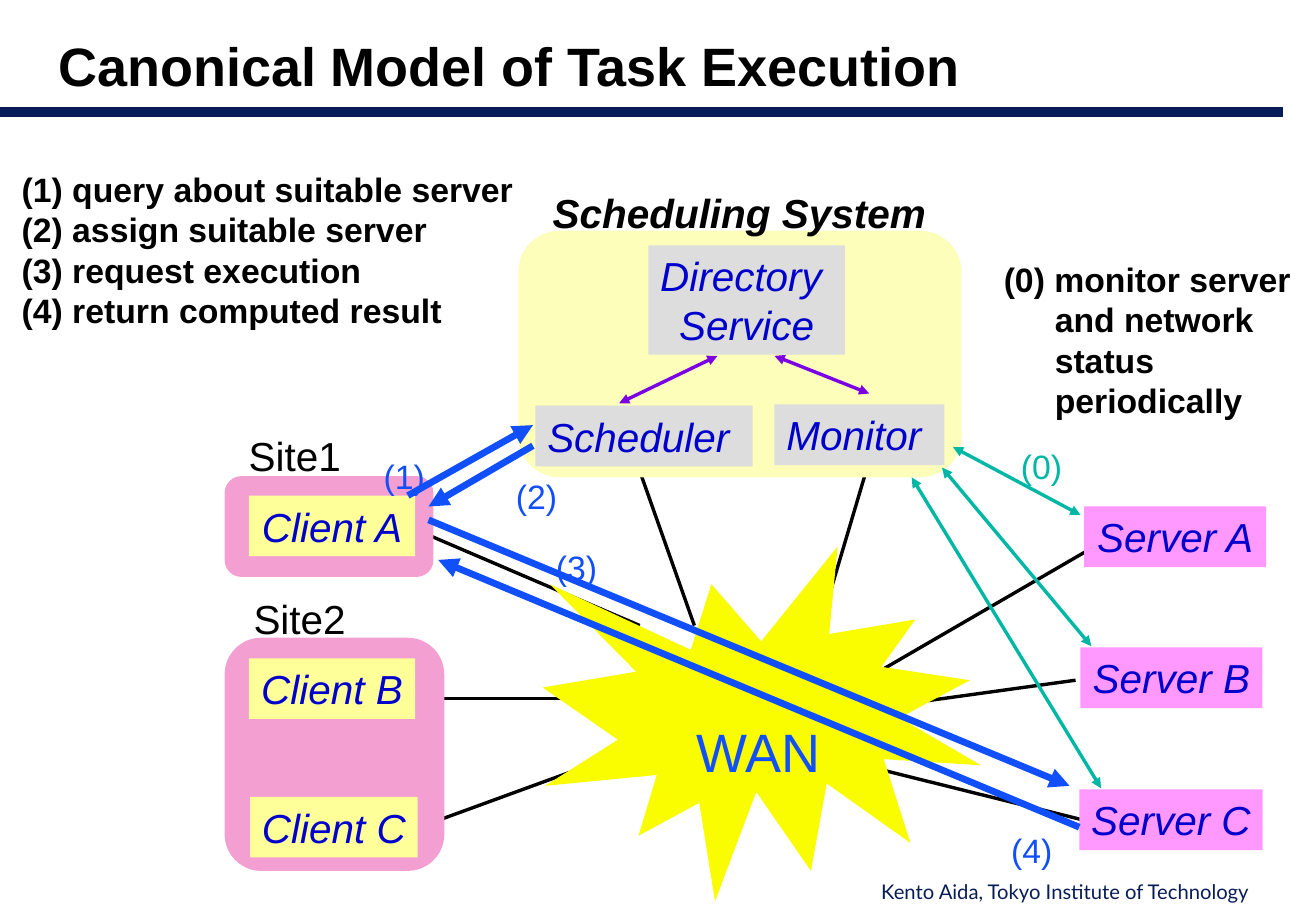
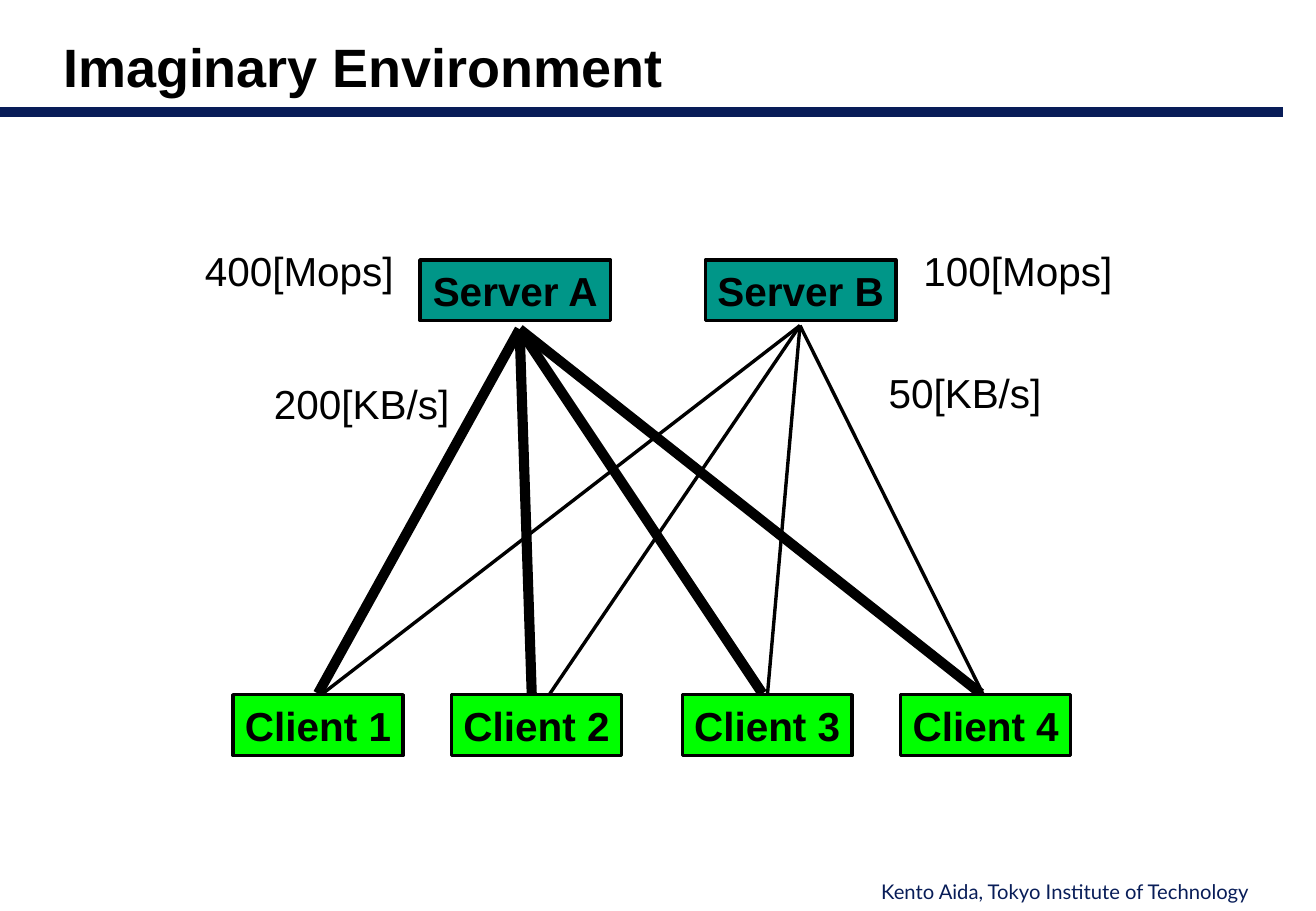
from dataclasses import dataclass

from lxml import etree
from pptx import Presentation
from pptx.dml.color import RGBColor
from pptx.enum.shapes import MSO_CONNECTOR, MSO_SHAPE
from pptx.enum.text import MSO_ANCHOR, MSO_AUTO_SIZE, PP_ALIGN
from pptx.oxml.ns import qn
from pptx.util import Inches, Pt


@dataclass(frozen=True)
class Theme:
    font: str = "Arial"
    footer_font: str = "Lato"
    ink: str = "000000"
    navy: str = "081D58"
    node_text: str = "0000CC"
    site: str = "F39FD1"
    client: str = "FFFF99"
    server: str = "FF99FF"
    system: str = "FCFEB9"
    service: str = "DDDDDD"
    wan: str = "FAFD00"
    task: str = "114FFB"
    internal: str = "7B00E4"
    monitoring: str = "00B7A5"
    env_server: str = "009688"
    env_client: str = "00FF00"
    title_size: int = 32
    node_size: int = 24
    note_size: int = 20
    footer_size: int = 12
    thin: int = 2
    medium: int = 4
    thick: int = 6


T = Theme()
NODE_HEIGHT = 0.5
FOOTER = "Kento Aida, Tokyo Institute of Technology"

# Task execution: boxes are (left, top, width, height), lines are (x1, y1, x2, y2)
STEPS = ["(1) query about suitable server", "(2) assign suitable server",
         "(3) request execution", "(4) return computed result"]
MONITOR_NOTE = "(0) monitor server and network status periodically"
NETWORK_LINKS = [
    (3.4, 6.83, 4.99, 6.25), (3.4, 4.35, 5.27, 5.15), (3.49, 5.75, 5.09, 5.75),
    (8.98, 4.52, 7.17, 5.57), (8.86, 5.6, 7.27, 5.82), (8.92, 6.75, 7.27, 6.34),
    (7.17, 3.76, 6.73, 5.24), (5.26, 3.85, 5.72, 5.15),
]
ZONES = [
    ((1.85, 3.92, 1.72, 0.83), T.site),
    ((1.85, 5.25, 1.81, 1.92), T.site),
    ((4.27, 1.9, 3.65, 2.03), T.system),
]
WAN_STAR = [
    (6.27, 5.28), (5.86, 4.81), (5.69, 5.35), (4.53, 4.81), (5.24, 5.53),
    (4.47, 5.66), (5.09, 6.09), (4.49, 6.47), (5.41, 6.38), (5.26, 6.88),
    (5.76, 6.61), (5.89, 7.42), (6.23, 6.52), (6.68, 7.17), (6.81, 6.45),
    (7.5, 6.94), (7.28, 6.25), (8.08, 6.3), (7.41, 5.91), (7.99, 5.6),
    (7.26, 5.49), (7.54, 5.1), (6.83, 5.22), (6.9, 4.5),
]
NODES = [
    (["Client A"], (2.05, 4.08, 1.37, NODE_HEIGHT), T.client),
    (["Client B"], (2.05, 5.42, 1.37, NODE_HEIGHT), T.client),
    (["Client C"], (2.06, 6.56, 1.38, NODE_HEIGHT), T.client),
    (["Server A"], (8.93, 4.17, 1.5, NODE_HEIGHT), T.server),
    (["Server B"], (8.9, 5.33, 1.5, NODE_HEIGHT), T.server),
    (["Server C"], (8.89, 6.5, 1.51, NODE_HEIGHT), T.server),
    (["Scheduler "], (4.41, 3.34, 1.79, NODE_HEIGHT), T.service),
    (["Monitor "], (6.38, 3.33, 1.4, NODE_HEIGHT), T.service),
    (["Directory ", "Service"], (5.34, 2.02, 1.62, 0.9), T.service),
]
# (points, colour, width, arrowheads)
FLOWS = [
    ((5.91, 2.93, 5.1, 3.32), T.internal, T.thin, ("headEnd", "tailEnd")),
    ((6.38, 2.93, 7.16, 3.24), T.internal, T.thin, ("headEnd", "tailEnd")),
    ((7.85, 3.68, 8.9, 4.24), T.monitoring, T.thin, ("headEnd", "tailEnd")),
    ((3.53, 4.28, 8.81, 6.47), T.task, T.medium, ("tailEnd",)),
    ((3.36, 4.08, 4.39, 3.5), T.task, T.medium, ("tailEnd",)),
    ((3.61, 4.61, 8.89, 6.81), T.task, T.medium, ("headEnd",)),
    ((7.76, 3.85, 8.99, 5.32), T.monitoring, T.thin, ("headEnd", "tailEnd")),
    ((7.51, 3.93, 9.07, 6.49), T.monitoring, T.thin, ("headEnd", "tailEnd")),
    ((3.53, 4.17, 4.39, 3.67), T.task, T.medium, ("headEnd",)),
]
FLOW_LABELS = [
    ("(1)", 3.06, 3.7, T.task), ("(2)", 4.15, 3.87, T.task),
    ("(3)", 4.48, 4.45, T.task), ("(4)", 8.23, 6.78, T.task),
    ("(0)", 8.31, 3.62, T.monitoring),
]
SITE_LABELS = [("Site1", 1.95, 3.5), ("Site2", 1.99, 4.84)]

# Imaginary environment
ENV_SERVERS = [("Server A", 3.46), ("Server B", 5.81)]
ENV_CLIENTS = [("Client 1", 1.92), ("Client 2", 3.72), ("Client 3", 5.62), ("Client 4", 7.42)]
# (server port, client ends, y of the ends, line width)
ENV_LINKS = [
    ((4.28, 2.71), (2.62, 4.38, 6.28, 8.08), 5.71, T.thick),
    ((6.59, 2.68), (2.62, 4.51, 6.32, 8.11), 5.74, T.thin),
]
RATES = [
    ("400[Mops]", (1.59, 1.98, 1.75, 0.5)), ("100[Mops]", (7.51, 1.98, 1.75, 0.5)),
    ("200[KB/s]", (2.16, 3.07, 1.64, 0.5)), ("50[KB/s]", (7.22, 2.98, 1.46, 0.5)),
]


def rgb(color):
    return RGBColor.from_string(color)


def inches(values):
    return [Inches(value) for value in values]


def write(shape, lines, size=T.node_size, color=T.ink, font=T.font, bold=False, italic=False,
          align=PP_ALIGN.LEFT, anchor=MSO_ANCHOR.TOP, wrap=False, inset=(0.1, 0.05), hanging=0):
    """Put one paragraph per line into a shape and format them alike."""
    frame = shape.text_frame
    frame.auto_size = MSO_AUTO_SIZE.NONE
    frame.word_wrap = wrap
    frame.vertical_anchor = anchor
    frame.margin_left = frame.margin_right = Inches(inset[0])
    frame.margin_top = frame.margin_bottom = Inches(inset[1])
    frame.text = "\n".join(lines)
    for paragraph in frame.paragraphs:
        paragraph.alignment = align
        if hanging:
            properties = paragraph._p.get_or_add_pPr()
            properties.set("marL", str(Inches(hanging)))
            properties.set("indent", str(-Inches(hanging)))
        for run in paragraph.runs:
            run.font.name = font
            run.font.size = Pt(size)
            run.font.bold = bold
            run.font.italic = italic
            run.font.color.rgb = rgb(color)


def add_label(slide, lines, box, **style):
    label = slide.shapes.add_textbox(*inches(box))
    write(label, lines, **style)
    return label


def paint(shape, fill, outline=None):
    shape.shadow.inherit = False
    shape.fill.solid()
    shape.fill.fore_color.rgb = rgb(fill)
    if outline:
        shape.line.color.rgb = rgb(outline)
        shape.line.width = Pt(T.thin)
    else:
        shape.line.fill.background()


def add_node(slide, lines, box, fill, outline=None, **style):
    node = slide.shapes.add_shape(MSO_SHAPE.RECTANGLE, *inches(box))
    paint(node, fill, outline)
    write(node, lines, align=PP_ALIGN.CENTER, **style)


def add_line(slide, points, color=T.ink, width=T.thin, arrowheads=()):
    line = slide.shapes.add_connector(MSO_CONNECTOR.STRAIGHT, *inches(points))
    line.line.color.rgb = rgb(color)
    line.line.width = Pt(width)
    stroke = line.line._get_or_add_ln()
    for end in arrowheads:
        etree.SubElement(stroke, qn(f"a:{end}"), type="triangle")
    etree.SubElement(line.element.spPr, qn("a:effectLst"))
    return line


def add_star(slide, points, fill):
    start, *rest = [inches(point) for point in points]
    builder = slide.shapes.build_freeform(*start)
    builder.add_line_segments(rest, close=True)
    paint(builder.convert_to_shape(), fill)


def add_title(slide, text, box, **style):
    title = slide.shapes.title
    title.left, title.top, title.width, title.height = inches(box)
    write(title, [text], size=T.title_size, bold=True, wrap=True, **style)


def furnish_layout(layout, slide):
    """Move the title rule and the footer from a slide to its layout, for all slides."""
    rule = add_line(slide, (0, 0.92, 10.57, 0.92), T.navy, T.thick)
    footer = add_label(slide, [FOOTER], (7.16, 7.19, 3.68, 0.3), size=T.footer_size,
                       color=T.navy, font=T.footer_font, wrap=True)
    for part in (rule, footer):
        layout.shapes.element.append(part.element)


def build_task_execution(slide):
    add_title(slide, "Canonical Model of Task Execution", (0.42, 0.08, 9.25, 0.75),
              anchor=MSO_ANCHOR.BOTTOM, inset=(0.06, 0.03))
    for points in NETWORK_LINKS:
        add_line(slide, points)
    for box, fill in ZONES:
        zone = slide.shapes.add_shape(MSO_SHAPE.ROUNDED_RECTANGLE, *inches(box))
        paint(zone, fill)
    add_star(slide, WAN_STAR, T.wan)
    for lines, box, fill in NODES:
        add_node(slide, lines, box, fill, color=T.node_text, italic=True)
    for flow in FLOWS:
        add_line(slide, *flow)
    add_label(slide, ["WAN"], (5.63, 5.87, 1.24, 0.63), size=T.title_size, color=T.task,
              align=PP_ALIGN.CENTER)
    add_label(slide, ["Scheduling System"], (4.34, 1.5, 3.5, 0.5), bold=True, italic=True,
              align=PP_ALIGN.CENTER, wrap=True)
    for site, left, top in SITE_LABELS:
        add_label(slide, [site], (left, top, 0.96, 0.5))
    for step, left, top, color in FLOW_LABELS:
        add_label(slide, [step], (left, top, 0.54, 0.43), size=T.note_size, color=color,
                  align=PP_ALIGN.CENTER)
    add_label(slide, STEPS, (0.08, 1.34, 4.25, 1.43), size=T.note_size, bold=True)
    add_label(slide, [MONITOR_NOTE], (8.17, 2.08, 2.66, 1.43), size=T.note_size, bold=True,
              wrap=True, hanging=0.42)


def build_environment(slide):
    add_title(slide, "Imaginary Environment", (0.42, 0.17, 9.79, 0.75),
              anchor=MSO_ANCHOR.MIDDLE)
    for port, ends, end_y, width in ENV_LINKS:
        for end_x in ends:
            add_line(slide, (*port, end_x, end_y), width=width)
    rows = [(ENV_SERVERS, 2.14, 1.57, T.env_server), (ENV_CLIENTS, 5.72, 1.4, T.env_client)]
    for machines, top, width, fill in rows:
        for machine, left in machines:
            add_node(slide, [machine], (left, top, width, NODE_HEIGHT), fill,
                     outline=T.ink, bold=True)
    for rate, box in RATES:
        add_label(slide, [rate], box, align=PP_ALIGN.CENTER)


def main():
    deck = Presentation()
    deck.slide_width, deck.slide_height = inches((10.84, 7.5))
    title_only = deck.slide_layouts[5]
    execution, environment = [deck.slides.add_slide(title_only) for _ in range(2)]
    furnish_layout(title_only, execution)
    build_task_execution(execution)
    build_environment(environment)
    deck.save("out.pptx")


if __name__ == "__main__":
    main()
